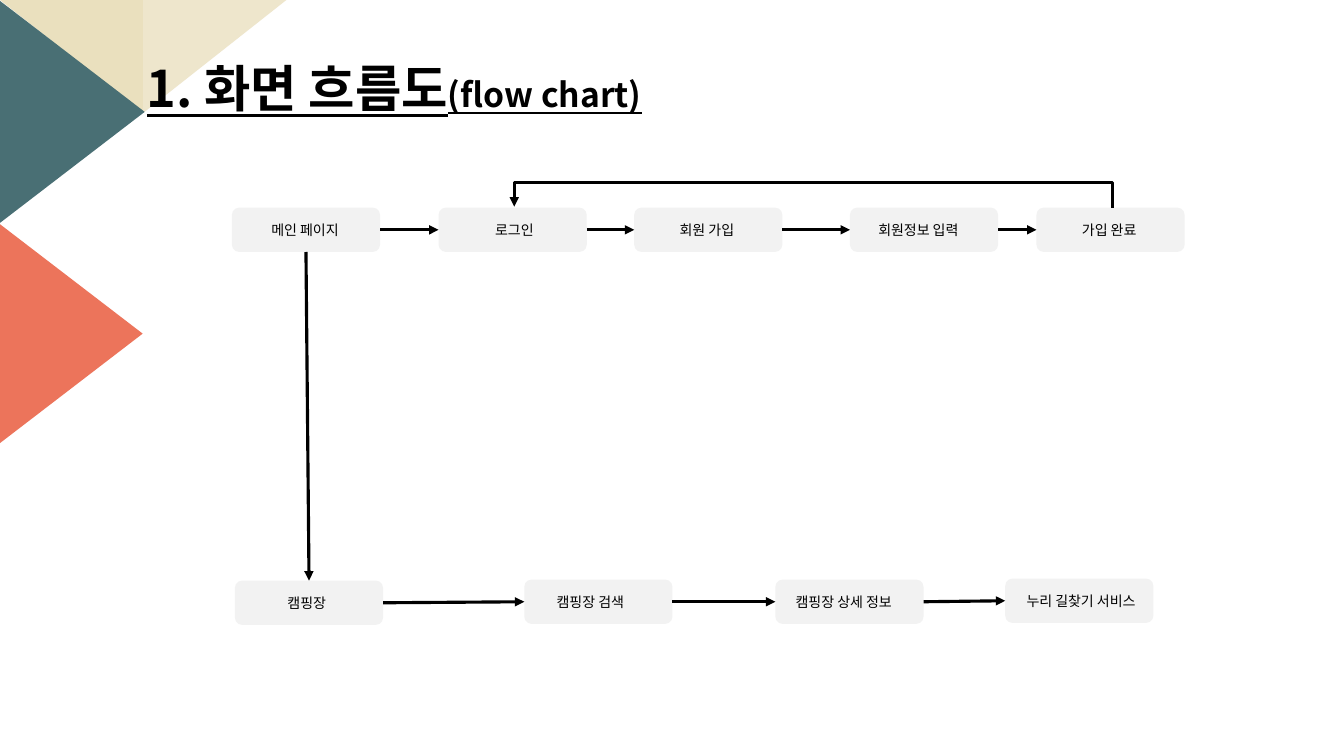
from lxml.etree import SubElement
from pptx import Presentation
from pptx.dml.color import RGBColor
from pptx.enum.shapes import MSO_CONNECTOR, MSO_SHAPE
from pptx.enum.text import MSO_ANCHOR, PP_ALIGN
from pptx.oxml.ns import qn
from pptx.util import Pt

PX = 9144  # EMU per px, 100 px to the inch
SLIDE_SIZE = (1333, 750)
FONT = "Noto Sans CJK KR"
COLORS = {
    "ink": "000000",
    "box": "F2F2F2",
    "sand": "EAE0BE",
    "light sand": "EEE6CC",
    "teal": "496F74",
    "coral": "EC745B",
}

# shape, left, top, width, height, rotation, mirrored, color
TRIANGLES = [
    (MSO_SHAPE.RIGHT_TRIANGLE, 0, 0, 142, 112, 180, False, "sand"),
    (MSO_SHAPE.RIGHT_TRIANGLE, 142, 0, 142, 112, 180, True, "light sand"),
    (MSO_SHAPE.ISOSCELES_TRIANGLE, -39, 39, 221, 144, 90, False, "teal"),
    (MSO_SHAPE.ISOSCELES_TRIANGLE, -41, 259, 221, 144, 90, False, "coral"),
]
TITLE_AREA = (136, 52, 856, 71)
TITLE = [("1. 화면 흐름도", 36), ("(flow chart)", 24)]

BOX_WIDTH, BOX_HEIGHT = 147, 44
# label, left, top, text indent
SIGN_UP_ROW = [
    ("메인 페이지", 230, 206, 37),
    ("로그인", 435, 206, 54),
    ("회원 가입", 629, 206, 43),
    ("회원정보 입력", 843, 206, 26),
    ("가입 완료", 1028, 206, 43),
]
CAMPING_ROW = [
    ("캠핑장", 233, 576, 50),
    ("캠핑장 검색", 520, 575, 30),
    ("캠핑장 상세 정보", 769, 575, 18),
    ("누리 길찾기 서비스", 997, 574, 19),
]
TOP, LEFT, BOTTOM, RIGHT = range(4)  # connection sites of a box
RETURN_FROM_X, RETURN_TO_X, RETURN_Y, RETURN_RISE = 1103, 510, 206, 25


def color(name):
    return RGBColor.from_string(COLORS[name])


def emu(*lengths):
    return [length * PX for length in lengths]


def add_filled(page, kind, area, fill):
    shape = page.shapes.add_shape(kind, *emu(*area))
    shape.shadow.inherit = False
    shape.fill.solid()
    shape.fill.fore_color.rgb = color(fill)
    shape.line.fill.background()
    return shape


def style(para):
    """Set the font for Latin and Korean letters, and return it."""
    para.alignment = PP_ALIGN.LEFT
    para.font.color.rgb = color("ink")
    para.font.name = FONT
    SubElement(para._p.pPr.find(qn("a:defRPr")), qn("a:ea"), typeface=FONT)
    return para.font


def add_triangles(page):
    for kind, left, top, width, height, rotation, mirrored, fill in TRIANGLES:
        shape = add_filled(page, kind, (left, top, width, height), fill)
        shape.rotation = rotation
        if mirrored:
            shape._element.spPr.find(qn("a:xfrm")).set("flipH", "1")


def add_title(page):
    frame = page.shapes.add_textbox(*emu(*TITLE_AREA)).text_frame
    frame.word_wrap = True
    para = frame.paragraphs[0]
    font = style(para)
    font.bold = font.underline = True
    for text, size in TITLE:
        span = para.add_run()
        span.text = text
        span.font.size = Pt(size)


def add_box(page, label, left, top, indent):
    area = (left, top, BOX_WIDTH, BOX_HEIGHT)
    box = add_filled(page, MSO_SHAPE.ROUNDED_RECTANGLE, area, "box")
    frame = box.text_frame
    frame.word_wrap = True
    frame.vertical_anchor = MSO_ANCHOR.MIDDLE
    frame.margin_left, frame.margin_right = emu(indent, 0)
    frame.margin_top = frame.margin_bottom = 0
    para = frame.paragraphs[0]
    para.text = label
    style(para).size = Pt(10)
    return box


def add_arrow(page, kind, *ends):
    arrow = page.shapes.add_connector(kind, *emu(*ends))
    arrow.line.color.rgb = color("ink")
    arrow.line.width = Pt(2.25)
    SubElement(arrow.line._get_or_add_ln(), qn("a:tailEnd"), type="triangle")
    SubElement(arrow._element.spPr, qn("a:effectLst"))
    return arrow


def link(page, start, start_site, end, end_site):
    arrow = add_arrow(page, MSO_CONNECTOR.STRAIGHT, 0, 0, 0, 0)
    arrow.begin_connect(start, start_site)
    arrow.end_connect(end, end_site)


def add_return_arrow(page):
    """Lead from the last sign-up box back over the row to the login box."""
    span = RETURN_FROM_X - RETURN_TO_X
    middle = (RETURN_FROM_X + RETURN_TO_X) // 2
    arrow = add_arrow(page, MSO_CONNECTOR.ELBOW,
                      middle, RETURN_Y + span // 2,
                      middle + 1, RETURN_Y + span // 2 - span)
    spPr = arrow._element.spPr
    spPr.find(qn("a:xfrm")).set("rot", str(270 * 60000))
    adjustments = spPr.find(qn("a:prstGeom")).find(qn("a:avLst"))
    SubElement(adjustments, qn("a:gd"), name="adj1",
               fmla=f"val {RETURN_RISE * 100000}")


def main():
    deck = Presentation()
    deck.slide_width, deck.slide_height = emu(*SLIDE_SIZE)
    page = deck.slides.add_slide(deck.slide_layouts[6])
    add_triangles(page)
    add_title(page)
    rows = [[add_box(page, *entry) for entry in row]
            for row in (SIGN_UP_ROW, CAMPING_ROW)]
    for row in rows:
        for start, end in zip(row, row[1:]):
            link(page, start, RIGHT, end, LEFT)
    link(page, rows[0][0], BOTTOM, rows[1][0], TOP)
    add_return_arrow(page)
    deck.save("out.pptx")


if __name__ == "__main__":
    main()
